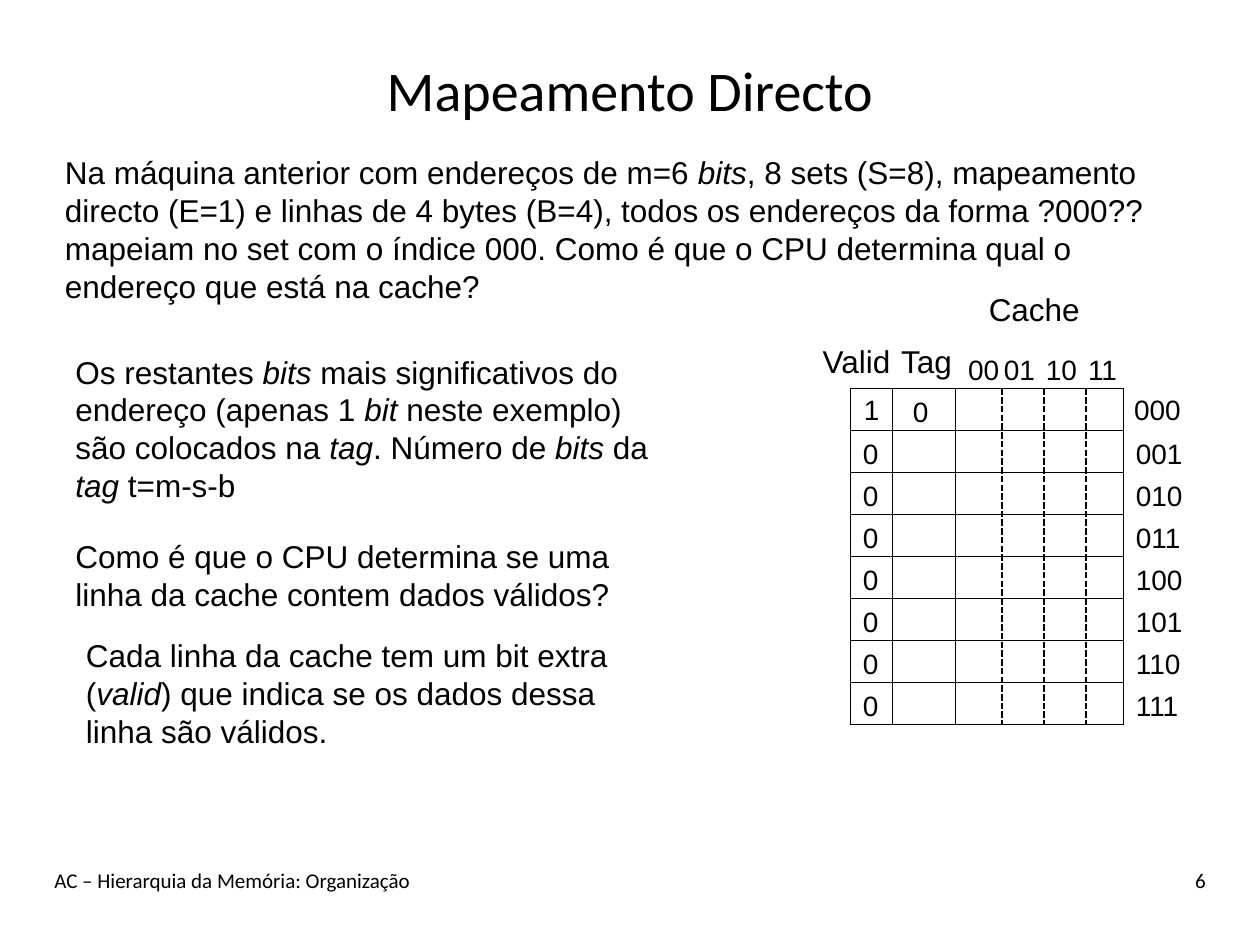
from lxml import etree
from pptx import Presentation
from pptx.dml.color import RGBColor
from pptx.enum import dml, shapes, text
from pptx.oxml import ns
from pptx.util import Pt

COLOURS = {"ink": "000000", "paper": "FFFFFF"}
INK = RGBColor.from_string(COLOURS["ink"])
LEFT, CENTRE, RIGHT = text.PP_ALIGN.LEFT, text.PP_ALIGN.CENTER, text.PP_ALIGN.RIGHT

deck = Presentation()
deck.slide_width, deck.slide_height = Pt(720), Pt(540)
page = deck.slides.add_slide(deck.slide_layouts[5])
page.background.fill.solid()
page.background.fill.fore_color.rgb = RGBColor.from_string(COLOURS["paper"])


def write(words, left, top, width, height, size=18, align=LEFT, font="Arial", wrap=False):
    """Add a text box; words between asterisks are italic."""
    box = page.shapes.add_textbox(Pt(left), Pt(top), Pt(width), Pt(height))
    box.text_frame.word_wrap = wrap
    if not wrap:
        box.text_frame.auto_size = text.MSO_AUTO_SIZE.SHAPE_TO_FIT_TEXT
    para = box.text_frame.paragraphs[0]
    para.alignment = align
    para.font.name, para.font.size, para.font.color.rgb = font, Pt(size), INK
    for index, part in enumerate(words.split("*")):
        span = para.add_run()
        span.text = part
        if index % 2:
            span.font.italic = True


def rule(x1, y1, x2, y2, weight=0.75, dashed=False):
    line = page.shapes.add_connector(
        shapes.MSO_CONNECTOR.STRAIGHT, Pt(x1), Pt(y1), Pt(x2), Pt(y2))
    line.line.color.rgb, line.line.width = INK, Pt(weight)
    if dashed:
        line.line.dash_style = dml.MSO_LINE.SQUARE_DOT
    etree.SubElement(line._element.spPr, ns.qn("a:effectLst"))


# Title
title = page.shapes.title
title.left, title.top, title.width, title.height = Pt(24), Pt(18), Pt(672), Pt(66)
title.text_frame.text = "Mapeamento Directo"
title.text_frame.vertical_anchor = text.MSO_ANCHOR.MIDDLE
para = title.text_frame.paragraphs[0]
para.alignment = CENTRE
para.font.name, para.font.size, para.font.color.rgb = "Calibri", Pt(32), INK

# Footer and page number
write("AC – Hierarquia da Memória: Organização", 24, 492, 504, 36, 12, font="Calibri", wrap=True)
write("6", 600, 492, 96, 36, 12, RIGHT, "Calibri", True)

# Explanation
paragraphs = [
    ("Na máquina anterior com endereços de m=6 *bits*, 8 sets (S=8), mapeamento directo "
     "(E=1) e linhas de 4 bytes (B=4), todos os endereços da forma ?000?? mapeiam no set "
     "com o índice 000. Como é que o CPU determina qual o endereço que está na cache?",
     30, 84, 666, 94),
    ("Os restantes *bits* mais significativos do endereço (apenas 1 *bit *neste exemplo) "
     "são colocados na *tag*. Número de *bits *da *tag *t=m-s-b", 36, 198, 342, 94),
    ("Como é que o CPU determina se uma linha da cache contem dados válidos?",
     36, 303.5, 342, 50),
    ("Cada linha da cache tem um bit extra (*valid*) que indica se os dados dessa linha "
     "são válidos.", 42, 360, 342, 72),
]
for words, left, top, width, height in paragraphs:
    write(words, left, top, width, height, wrap=True)

# Cache grid: valid, tag and data columns
SETS, ROW, TOP = 8, 24, 222
BOTTOM = TOP + SETS * ROW
EDGES = [486, 510, 546, 642]
for x in EDGES:
    rule(x, TOP, x, BOTTOM)
for left, right in zip(EDGES, EDGES[1:]):
    for row in range(SETS + 1):
        rule(left, TOP + row * ROW, right, TOP + row * ROW)
for column in range(3):
    x = 572.5 + column * ROW
    rule(x, TOP, x, BOTTOM, 1.25, True)

# Column headings
write("Cache", 557, 162, 68, 29, align=CENTRE)
write("Valid", 462, 192, 55, 29, align=CENTRE)
write("Tag", 507, 192, 45, 29, align=CENTRE)
for offset, left in enumerate([546, 566.5, 590.5, 614]):
    write(f"{offset:02b}", left, 198, 32, 26.5, 16, CENTRE)

# Valid bits, set indices and the one stored tag
for row in range(SETS):
    top = TOP + row * ROW - (1 if row == 0 else 0)
    write("1" if row == 0 else "0", 486.5 if row == 0 else 486, top, 23, 26.5, 16, CENTRE)
    write(f"{row:03b}", 641 if row == 0 else 642, top, 41, 26.5, 16)
write("0", 514, TOP, 24, 26.5, 16, CENTRE)

deck.save("out.pptx")
